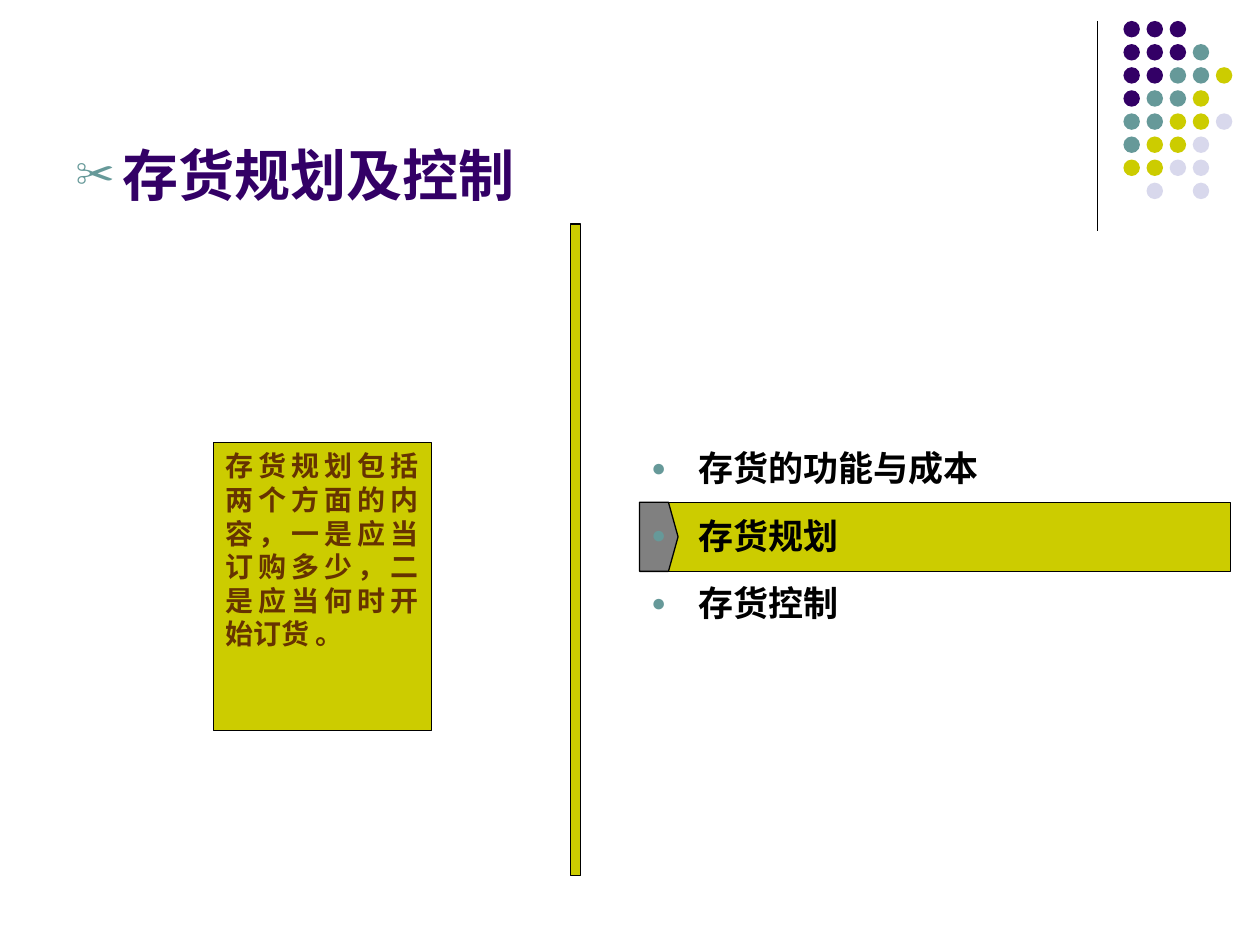
from lxml.etree import SubElement
from pptx import Presentation
from pptx.dml.color import RGBColor
from pptx.enum.shapes import MSO_CONNECTOR, MSO_SHAPE
from pptx.enum.text import MSO_ANCHOR, MSO_AUTO_SIZE, PP_ALIGN
from pptx.oxml.ns import qn
from pptx.util import Pt

PURPLE, TEAL, OLIVE, LILAC = "330066", "669999", "CCCC00", "D8D8EC"
BLACK, GRAY, BROWN = "000000", "808080", "663300"
CJK = "Noto Sans CJK SC"

# Dot pattern: one string per row, one letter per dot
DOT_COLORS = {"P": PURPLE, "T": TEAL, "O": OLIVE, "L": LILAC}
DOT_ROWS = ["PPP", "PPPT", "PPTTO", "PTTO", "TTOOL", "TOOL", "OOLL", " L L"]

TITLE = "存货规划及控制"
TOPICS = ["存货的功能与成本", "存货规划", "存货控制"]
NOTE = "存货规划包括两个方面的内容，一是应当订购多少，二是应当何时开始订货 。"


def rgb(value):
    return RGBColor.from_string(value)


def paint(sp, fill, line=None):
    sp.shadow.inherit = False
    sp.fill.solid()
    sp.fill.fore_color.rgb = rgb(fill)
    if line:
        sp.line.color.rgb = rgb(line)
        sp.line.width = Pt(0.75)
    else:
        sp.line.fill.background()


def add_shape(s, kind, x, y, w, h, fill, line=None):
    sp = s.shapes.add_shape(kind, Pt(x), Pt(y), Pt(w), Pt(h))
    paint(sp, fill, line)
    return sp


def add_line(s, x1, y1, x2, y2):
    line = s.shapes.add_connector(MSO_CONNECTOR.STRAIGHT, Pt(x1), Pt(y1), Pt(x2), Pt(y2))
    line.line.color.rgb = rgb(BLACK)
    line.line.width = Pt(0.75)
    SubElement(line._element.spPr, qn("a:effectLst"))


def add_dots(s, left, top, pitch, size):
    for row, letters in enumerate(DOT_ROWS):
        for col, letter in enumerate(letters):
            if letter in DOT_COLORS:
                add_shape(s, MSO_SHAPE.OVAL, left + col * pitch, top + row * pitch,
                          size, size, DOT_COLORS[letter])


def add_marker(s, x, y, w, h, shoulder):
    builder = s.shapes.build_freeform(Pt(x), Pt(y))
    builder.add_line_segments([(Pt(x + shoulder), Pt(y)), (Pt(x + w), Pt(y + h / 2)),
                               (Pt(x + shoulder), Pt(y + h)), (Pt(x), Pt(y + h))])
    paint(builder.convert_to_shape(), GRAY, BLACK)


def set_bullet(p, char, margin, hanging):
    pPr = p._p.get_or_add_pPr()
    pPr.set("marL", str(Pt(margin)))
    pPr.set("indent", str(-Pt(hanging)))
    SubElement(SubElement(pPr, qn("a:buClr")), qn("a:srgbClr"), val=TEAL)
    SubElement(pPr, qn("a:buSzPct"), val="70000")
    SubElement(pPr, qn("a:buFont"), typeface="Arial")
    SubElement(pPr, qn("a:buChar"), char=char)


def style_runs(p, size, color, name):
    for r in p.runs:
        r.font.size = Pt(size)
        r.font.bold = True
        r.font.name = name
        r.font.color.rgb = rgb(color)
        SubElement(r._r.get_or_add_rPr(), qn("a:ea"), typeface=name)


def place(s, sp, x, y, w, h, anchor):
    """Position a placeholder and bring it to the front."""
    sp.left, sp.top, sp.width, sp.height = Pt(x), Pt(y), Pt(w), Pt(h)
    tf = sp.text_frame
    tf.word_wrap = True
    tf.auto_size = MSO_AUTO_SIZE.NONE
    tf.vertical_anchor = anchor
    s.shapes._spTree.append(sp._element)
    return tf


def fill_title(s):
    tf = place(s, s.shapes.title, 36, 26, 594, 96.4, MSO_ANCHOR.BOTTOM)
    tf.text = TITLE
    p = tf.paragraphs[0]
    set_bullet(p, "✂", 27, 27)
    p.alignment = PP_ALIGN.LEFT
    style_runs(p, 32, PURPLE, "Arial")


def fill_topics(s):
    tf = place(s, s.placeholders[1], 337.5, 242, 335.5, 240.5, MSO_ANCHOR.TOP)
    for i, topic in enumerate(TOPICS):
        p = tf.add_paragraph() if i else tf.paragraphs[0]
        p.text = topic
        p.level = 1
        set_bullet(p, "●", 54.5, 27)
        p.line_spacing = Pt(33.6)
        p.space_before = Pt(5 if i else 0)
        style_runs(p, 20, BLACK, CJK)


def add_note(s):
    sp = add_shape(s, MSO_SHAPE.RECTANGLE, 122, 253, 124.5, 164.5, OLIVE, BLACK)
    tf = sp.text_frame
    tf.word_wrap = True
    tf.vertical_anchor = MSO_ANCHOR.TOP
    tf.text = NOTE
    p = tf.paragraphs[0]
    p.alignment = PP_ALIGN.JUSTIFY
    p.line_spacing = Pt(19.2)
    style_runs(p, 16, BROWN, CJK)


def main():
    prs = Presentation()
    prs.slide_width, prs.slide_height = Pt(720), Pt(540)
    s = prs.slides.add_slide(prs.slide_layouts[1])

    # Corner decoration
    add_line(s, 627, 12, 627, 132)
    add_dots(s, left=642, top=12, pitch=13.2, size=9.4)

    # Highlight behind the current topic
    add_shape(s, MSO_SHAPE.RECTANGLE, 372, 287, 331, 39.5, OLIVE, BLACK)
    add_marker(s, 365.5, 287, 22, 39.5, shoulder=16.5)
    fill_topics(s)

    # Divider and explanation
    add_shape(s, MSO_SHAPE.RECTANGLE, 326, 128, 5.8, 372.5, OLIVE, BLACK)
    add_note(s)
    fill_title(s)

    prs.save("out.pptx")


if __name__ == "__main__":
    main()
